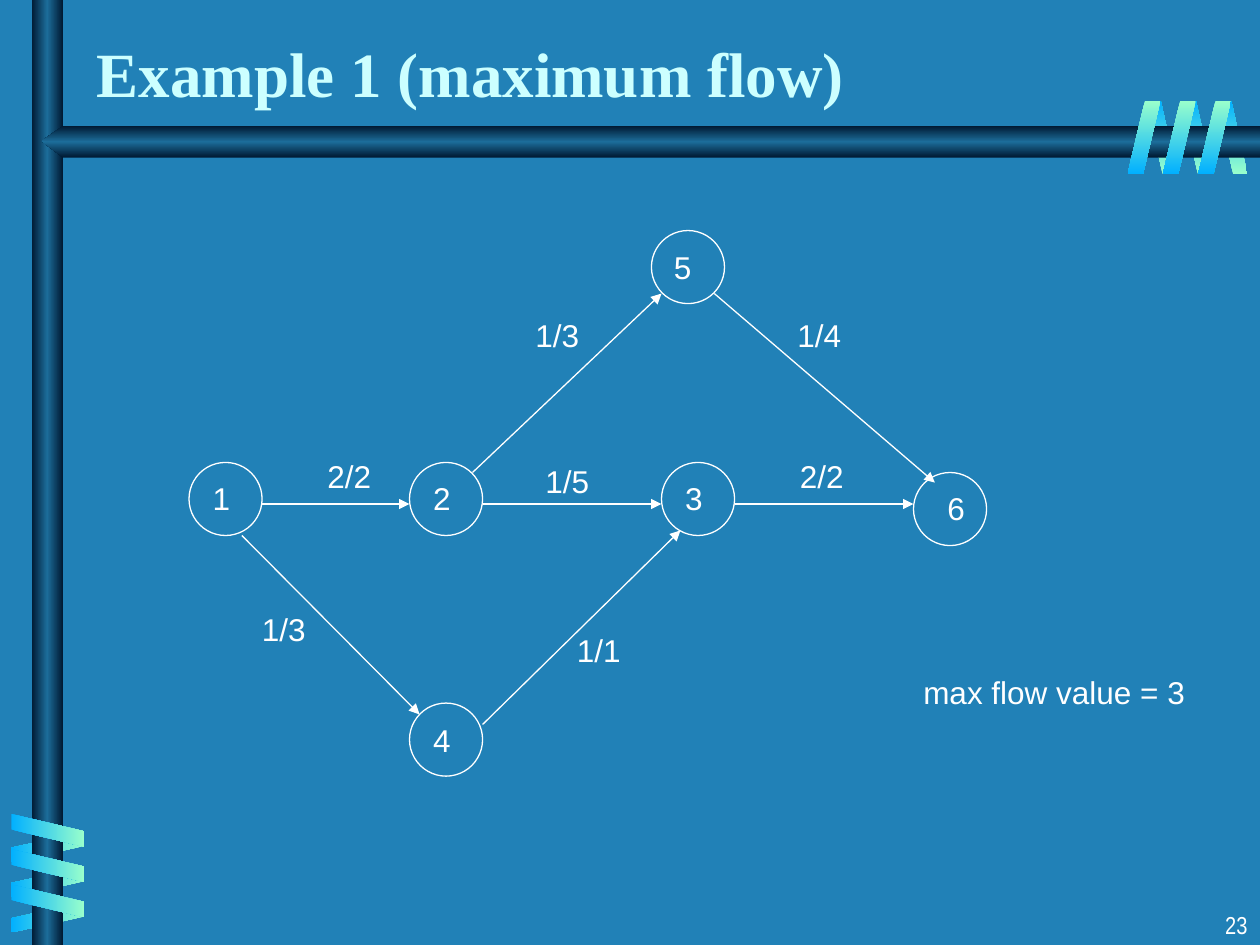
from lxml import etree
from pptx import Presentation
from pptx import util as u
from pptx.dml import color
from pptx.enum import shapes, text
from pptx.oxml import ns

theme = {
    "background": "2181B7",
    "line": "FFFFFF",
    "rail": ["001932", "1C6D9A", "001932"],
    "coil": ["99FFCC", "01B0FF"],
    "line_width": 0.75,
    "title": {"name": "Times New Roman", "size": 36, "bold": True, "color": "CCFFFF"},
    "body": {"name": "Arial", "size": 18, "bold": False, "color": "FFFFFF"},
    "number": {"name": "Arial Narrow", "size": 14, "bold": False, "color": "FFFFFF"},
}


def paint_gradient(shape, colors, angle):
    shape.shadow.inherit = False
    shape.line.fill.background()
    shape.fill.gradient()
    shape.fill.gradient_angle = angle
    stops = shape._element.spPr.find(".//" + ns.qn("a:gsLst"))
    for stop in list(stops):
        stops.remove(stop)
    for index, value in enumerate(colors):
        position = 100000 * index // (len(colors) - 1)
        stop = etree.SubElement(stops, ns.qn("a:gs"), pos=str(position))
        etree.SubElement(stop, ns.qn("a:srgbClr"), val=value)


def add_label(content, box, style, wrap=True, **layout):
    shape = slide.shapes.add_textbox(*map(u.Inches, box))
    frame = shape.text_frame
    frame.word_wrap = wrap
    frame.vertical_anchor = layout.get("anchor", text.MSO_ANCHOR.TOP)
    paragraph = frame.paragraphs[0]
    paragraph.text = content
    paragraph.alignment = layout.get("align", text.PP_ALIGN.LEFT)
    font = paragraph.runs[0].font
    values = dict(theme[style], size=u.Pt(theme[style]["size"]))
    font.color.rgb = color.RGBColor.from_string(values.pop("color"))
    for attribute, value in values.items():
        setattr(font, attribute, value)


presentation = Presentation()
presentation.slide_width = u.Inches(10)
presentation.slide_height = u.Inches(7.5)
slide = presentation.slides.add_slide(presentation.slide_layouts[6])
slide.background.fill.solid()
slide.background.fill.fore_color.rgb = color.RGBColor.from_string(theme["background"])

green_first = theme["coil"]
blue_first = green_first[::-1]
back_coils = [
    (9.66, 0.8, 0.24, 180, True, green_first),
    (0.26, 6.43, 0.24, 90, True, green_first),
]
front_coils = [
    (0.25, 6.3, 0.26, 270, False, blue_first),
    (9.51, 0.8, 0.26, 0, False, green_first),
]
for layer in (back_coils, front_coils):
    for left, top, width, rotation, flipped, colors in layer:
        for index in range(3):
            shift = 0.28 * index
            across = top < 1
            coil = slide.shapes.add_shape(
                shapes.MSO_SHAPE.PARALLELOGRAM,
                u.Inches(left - shift if across else left),
                u.Inches(top if across else top + shift),
                u.Inches(width), u.Inches(0.58))
            coil.adjustments[0] = 0.53
            coil.rotation = rotation
            if flipped:
                coil._element.spPr.xfrm.set("flipH", "1")
            paint_gradient(coil, colors, 270)
    if layer is back_coils:
        rail = slide.shapes.add_shape(
            shapes.MSO_SHAPE.RECTANGLE, u.Inches(0.25), 0, u.Inches(0.25), u.Inches(7.5))
        paint_gradient(rail, theme["rail"], 0)
        outline = [(10, 1), (0.5, 1), (0.33, 1.12), (0.5, 1.25), (10, 1.25)]
        points = [(u.Inches(x), u.Inches(y)) for x, y in outline]
        builder = slide.shapes.build_freeform(*points[0])
        builder.add_line_segments(points[1:], close=True)
        paint_gradient(builder.convert_to_shape(), theme["rail"], 270)

nodes = [
    ("1", 1.5, 3.67, 1.59, 3.75),
    ("2", 3.25, 3.67, 3.34, 3.75),
    ("3", 5.25, 3.67, 5.34, 3.75),
    ("4", 3.25, 5.58, 3.34, 5.67),
    ("5", 5.17, 1.83, 5.25, 1.92),
    ("6", 7.25, 3.75, 7.42, 3.83),
]
for name, left, top, text_left, text_top in nodes:
    node = slide.shapes.add_shape(
        shapes.MSO_SHAPE.OVAL, *map(u.Inches, (left, top, 0.58, 0.58)))
    node.shadow.inherit = False
    node.fill.background()
    node.line.color.rgb = color.RGBColor.from_string(theme["line"])
    node.line.width = u.Pt(theme["line_width"])
    add_label(name, (text_left, text_top, 0.34, 0.4), "body", wrap=False)

edges = [
    ("1/3", (1.92, 4.25, 3.33, 5.67), (1.98, 4.79)),
    ("2/2", (2.08, 4, 3.25, 4), (2.5, 3.58)),
    ("1/3", (3.75, 3.75, 5.25, 2.33), (4.15, 2.46)),
    ("1/5", (3.83, 4, 5.25, 4), (4.23, 3.62)),
    ("1/1", (3.83, 5.75, 5.4, 4.21), (4.48, 4.96)),
    ("2/2", (5.83, 4, 7.25, 4), (6.25, 3.58)),
    ("1/4", (5.67, 2.33, 7.42, 3.83), (6.23, 2.46)),
]
for flow, ends, corner in edges:
    edge = slide.shapes.add_connector(
        shapes.MSO_CONNECTOR.STRAIGHT, *map(u.Inches, ends))
    edge.line.color.rgb = color.RGBColor.from_string(theme["line"])
    edge.line.width = u.Pt(theme["line_width"])
    etree.SubElement(edge.line._get_or_add_ln(), ns.qn("a:tailEnd"), type="triangle")
    etree.SubElement(edge._element.spPr, ns.qn("a:effectLst"))
    add_label(flow, (*corner, 0.55, 0.4), "body", wrap=False)

add_label("max flow value = 3", (7.23, 5.29, 2.43, 0.4), "body")
add_label("Example 1 (maximum flow)", (0.67, 0.17, 8.3, 0.75), "title",
          anchor=text.MSO_ANCHOR.BOTTOM)
add_label("23", (7.92, 7.17, 2.08, 0.33), "number", align=text.PP_ALIGN.RIGHT)

presentation.save("out.pptx")
